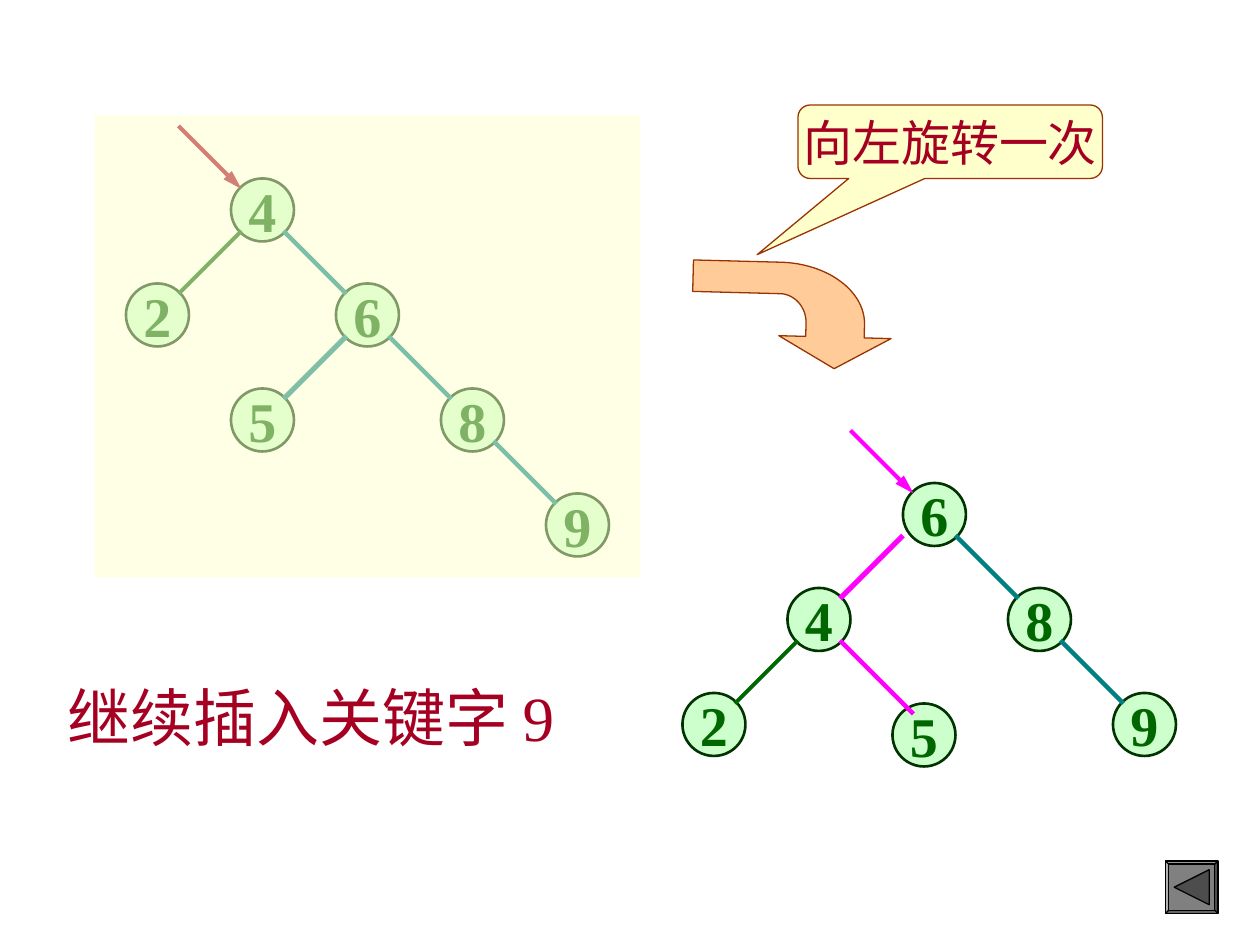
from dataclasses import dataclass

import lxml.etree
import pptx
import pptx.dml.color
import pptx.enum.shapes
import pptx.enum.text
import pptx.oxml.ns
import pptx.util

Pt = pptx.util.Pt
Shape = pptx.enum.shapes.MSO_SHAPE
Align = pptx.enum.text.PP_ALIGN
qn = pptx.oxml.ns.qn


@dataclass(frozen=True)
class Theme:
    font: str = "Times New Roman"
    key_size: float = 32
    callout_size: float = 28
    caption_size: float = 36
    node: str = "CCFFCC"
    node_border: str = "003300"
    green: str = "006600"
    teal: str = "008080"
    magenta: str = "FF00FF"
    crimson: str = "A50021"
    cream: str = "FFFFCC"
    orange: str = "FFCC99"
    brown: str = "993300"
    button: str = "808080"
    button_mark: str = "4D4D4D"
    black: str = "000000"


THEME = Theme()
NODE = 36
NEAR, FAR = 6, 30

BEFORE_NODES = {"4": (132, 102), "2": (72, 162), "6": (192, 162),
                "5": (132, 222), "8": (252, 222), "9": (312, 282)}
BEFORE_EDGES = [("4", "2", THEME.green, 2.25), ("4", "6", THEME.teal, 2.5),
                ("6", "5", THEME.teal, 3), ("6", "8", THEME.teal, 2.5),
                ("8", "9", THEME.teal, 2.5)]
AFTER_NODES = {"6": (516, 276), "4": (450, 336), "2": (390, 396),
               "8": (576, 336), "9": (636, 396), "5": (510, 402)}
AFTER_EDGES = [("4", "2", THEME.green, 2.25), ("6", "4", THEME.magenta, 3, -6, 0),
               ("6", "8", THEME.teal, 2.5), ("8", "9", THEME.teal, 2.5),
               ("4", "5", THEME.magenta, 2.5, 0, 6)]


def rgb(color):
    return pptx.dml.color.RGBColor.from_string(color)


def write(shape, text, size, color, bold=False, align=Align.CENTER,
          anchor=pptx.enum.text.MSO_ANCHOR.MIDDLE, wrap=False, space_before=0):
    frame = shape.text_frame
    frame.word_wrap = wrap
    frame.vertical_anchor = anchor
    paragraph = frame.paragraphs[0]
    paragraph.alignment = align
    paragraph.space_before = Pt(space_before)
    run = paragraph.add_run()
    run.text = text
    run.font.name = THEME.font
    run.font.size = Pt(size)
    run.font.bold = bold
    run.font.color.rgb = rgb(color)


def paint(shape, fill, border=None, width=0.75):
    shape.shadow.inherit = False
    shape.fill.solid()
    shape.fill.fore_color.rgb = rgb(fill)
    if border:
        shape.line.color.rgb = rgb(border)
        shape.line.width = Pt(width)
    else:
        shape.line.fill.background()


def add_preset(slide, kind, left, top, width, height, fill, border=None, weight=0.75):
    shape = slide.shapes.add_shape(kind, Pt(left), Pt(top), Pt(width), Pt(height))
    paint(shape, fill, border, weight)
    return shape


def add_line(slide, start, end, color, width, arrow=False):
    line = slide.shapes.add_connector(
        pptx.enum.shapes.MSO_CONNECTOR.STRAIGHT, *map(Pt, start + end))
    line.line.color.rgb = rgb(color)
    line.line.width = Pt(width)
    properties = line._element.spPr
    if arrow:
        lxml.etree.SubElement(properties.find(qn("a:ln")), qn("a:tailEnd"),
                              type="triangle", w="med", len="lg")
    lxml.etree.SubElement(properties, qn("a:effectLst"))


def add_tree(slide, nodes, edges, root, pointer_color):
    for key, (left, top) in nodes.items():
        circle = add_preset(slide, Shape.OVAL, left, top, NODE, NODE,
                            THEME.node, THEME.node_border, 1.5)
        write(circle, key, THEME.key_size, THEME.green, bold=True)
    for parent, child, color, width, *shifts in edges:
        start_shift, end_shift = shifts or (0, 0)
        (px, py), (cx, cy) = nodes[parent], nodes[child]
        out, into = (NEAR, FAR) if cx < px else (FAR, NEAR)
        add_line(slide, (px + out + start_shift, py + FAR),
                 (cx + into + end_shift, cy + NEAR), color, width)
    x, y = nodes[root]
    add_line(slide, (x - FAR, y - FAR), (x + NEAR, y + NEAR),
             pointer_color, 2.25, arrow=True)


def curve(a, b, c, d, steps=24):
    weights = [((1 - t) ** 3, 3 * t * (1 - t) ** 2, 3 * t * t * (1 - t), t ** 3)
               for t in (i / steps for i in range(steps + 1))]
    return [tuple(sum(w * p[axis] for w, p in zip(ws, (a, b, c, d)))
                  for axis in (0, 1)) for ws in weights]


def add_outline(slide, points, left, top, scale, fill, border):
    builder = slide.shapes.build_freeform(*points[0], scale=scale)
    builder.add_line_segments(points[1:], close=True)
    outline = builder.convert_to_shape(Pt(left), Pt(top))
    paint(outline, fill, border)
    return outline


def add_rotation_arrow(slide):
    grid = 21600
    outer = curve((12427, 2912), (5564, 2912), (0, 7052), (0, 12158))
    inner = curve((6474, 12158), (6474, 10550), (9140, 9246), (12427, 9246))
    points = [(21600, 6079), (15126, 0), (15126, 2912), *outer,
              (0, grid), (6474, grid), *inner, (15126, 9246), (15126, 12158)]
    arrow = add_outline(slide, points, 422.5, 123, (Pt(60) / grid, Pt(114) / grid),
                        THEME.orange, THEME.brown)
    arrow.rotation = 91.5


def add_callout(slide):
    callout = add_preset(slide, Shape.ROUNDED_RECTANGULAR_CALLOUT, 456, 60, 174, 42,
                         THEME.cream, THEME.brown)
    for index, value in enumerate((-0.634, 1.536, 0.167)):
        callout.adjustments[index] = value
    write(callout, "向左旋转一次", THEME.callout_size, THEME.crimson)


def add_caption(slide):
    caption = slide.shapes.add_textbox(Pt(31.5), Pt(384), Pt(316), Pt(50.4))
    write(caption, "继续插入关键字 9", THEME.caption_size, THEME.crimson,
          align=Align.LEFT, anchor=pptx.enum.text.MSO_ANCHOR.TOP,
          wrap=True, space_before=22.5)
    caption.text_frame.auto_size = pptx.enum.text.MSO_AUTO_SIZE.SHAPE_TO_FIT_TEXT


def add_back_button(slide):
    left, top, size = 666, 492, 30
    button = add_preset(slide, Shape.BEVEL, left, top, size, size,
                        THEME.button, THEME.black)
    button.adjustments[0] = 0.06
    add_outline(slide, [(5.3, 15), (24.7, 5.3), (24.7, 24.7)], left, top, Pt(1),
                THEME.button_mark, THEME.black)


def add_veil(slide):
    veil = add_preset(slide, Shape.RECTANGLE, 54, 66, 312, 264, THEME.cream)
    color = veil._element.spPr.find(qn("a:solidFill"))[0]
    lxml.etree.SubElement(color, qn("a:alpha"), val="50000")


def main():
    deck = pptx.Presentation()
    deck.slide_width, deck.slide_height = Pt(720), Pt(540)
    slide = deck.slides.add_slide(deck.slide_layouts[6])
    add_tree(slide, BEFORE_NODES, BEFORE_EDGES, "4", THEME.crimson)
    add_veil(slide)
    add_tree(slide, AFTER_NODES, AFTER_EDGES, "6", THEME.magenta)
    add_rotation_arrow(slide)
    add_callout(slide)
    add_caption(slide)
    add_back_button(slide)
    deck.save("out.pptx")


if __name__ == "__main__":
    main()
